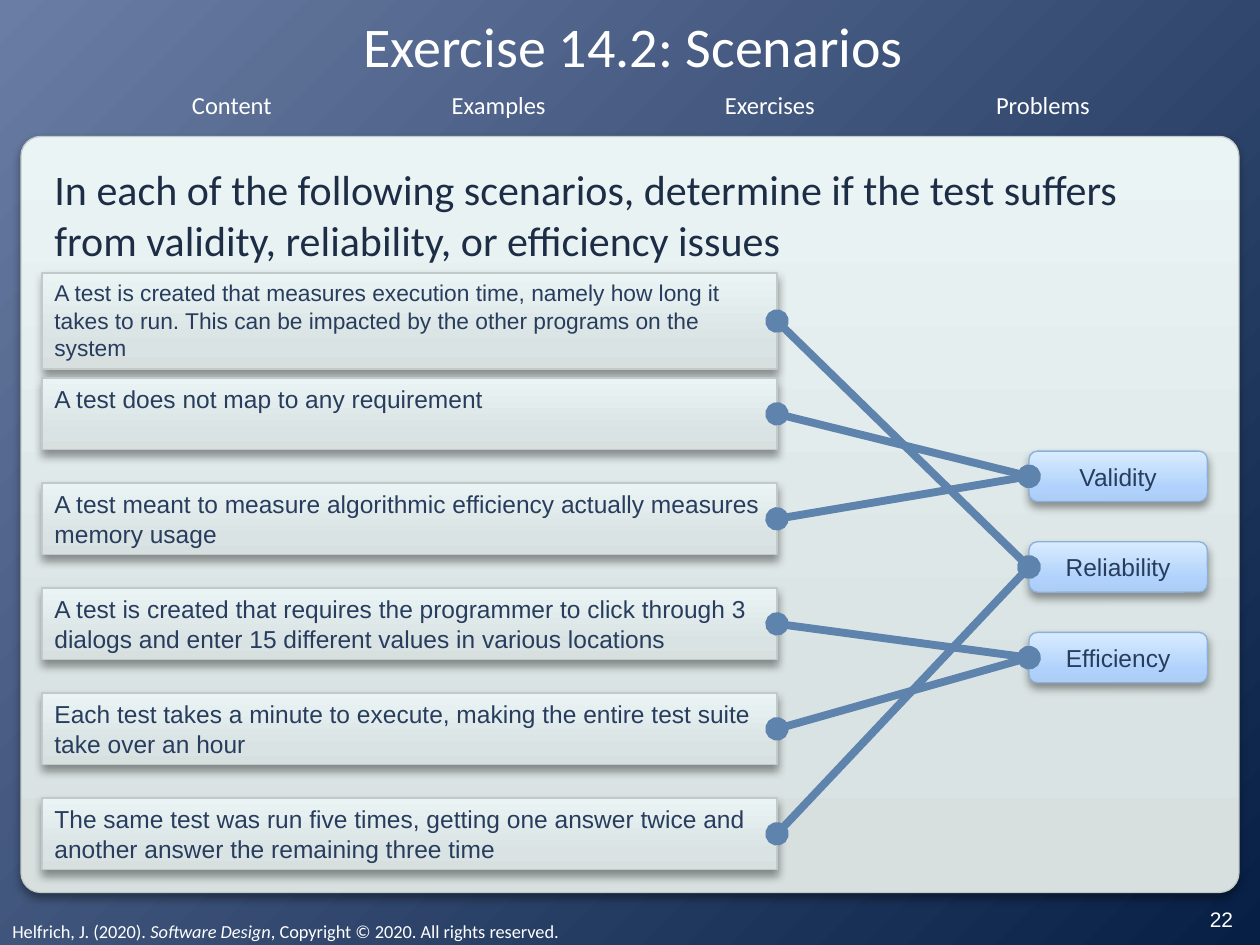
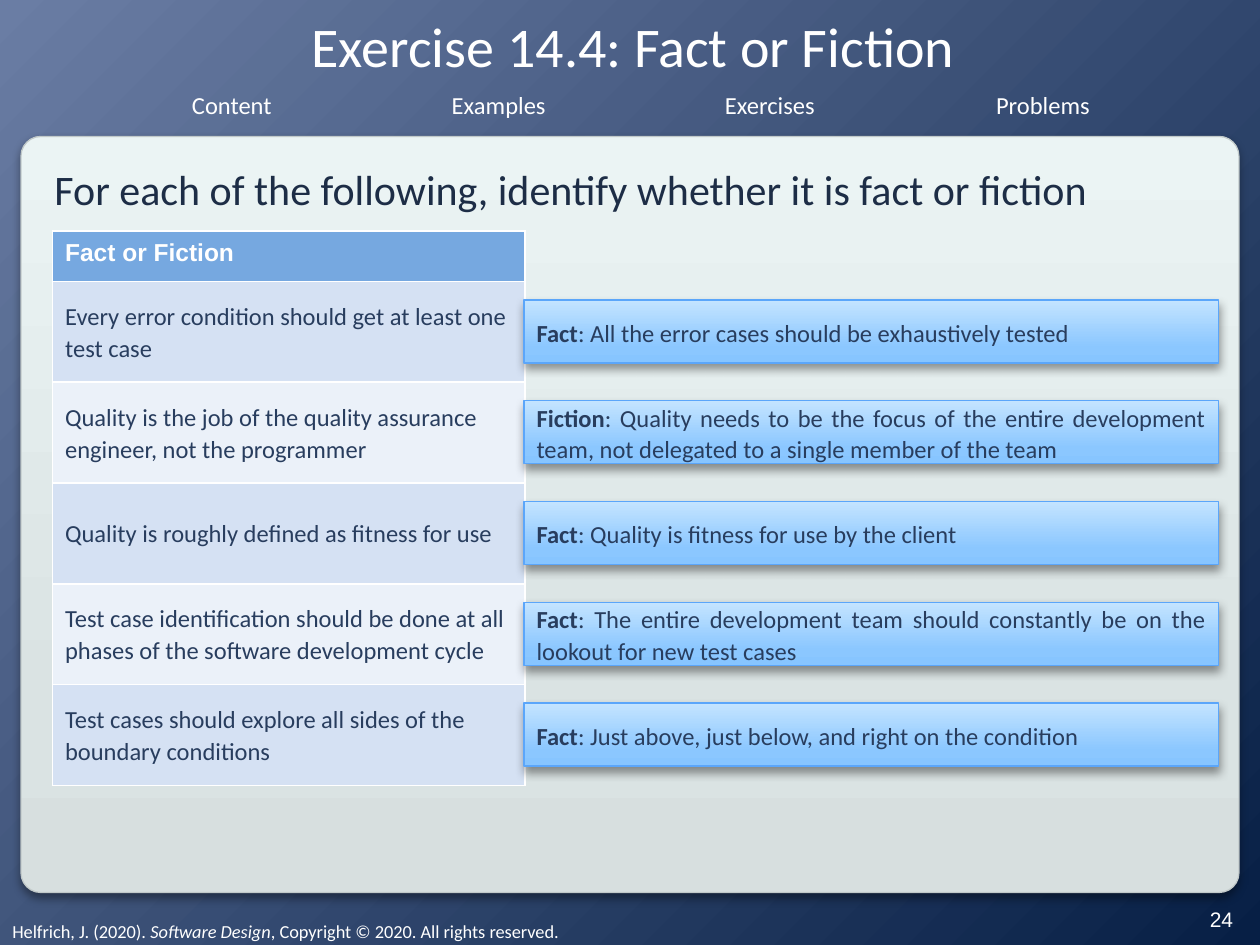
import copy
import pptx
import pptx.dml.color
import pptx.enum.shapes
import pptx.enum.text
import pptx.oxml
import pptx.oxml.ns
import pptx.util

Pt = pptx.util.Pt
Form = pptx.enum.shapes.MSO_SHAPE
Side = pptx.enum.text.PP_ALIGN
Hold = pptx.enum.text.MSO_ANCHOR
qn = pptx.oxml.ns.qn
space = pptx.oxml.ns.nsdecls("a")

WHITE, INK, DARK = "FFFFFF", "283D5E", "1D2D46"
GREY = ("D7DFDF", "DAE3E3", "EBF4F4"), "C1C9C9"
PALE = ("ADCDF5", "AFD1FB", "D8ECFF"), "8CB0D7"
BLUE = ("87C5FF", "8BC7FF", "C4E4FF"), "5BA6FA"


def hue(code):
    return pptx.dml.color.RGBColor.from_string(code)


def say(host, runs, size, code=INK, face="Calibri", side=Side.LEFT,
        hold=Hold.TOP, space=None):
    frame = host.text_frame
    frame.word_wrap = True
    frame.vertical_anchor = hold
    para = frame.paragraphs[0]
    para.alignment = side
    para.line_spacing = space
    for text, style in runs:
        run = para.add_run()
        run.text = text
        run.font.size = Pt(size)
        run.font.name = face
        run.font.bold = style == "bold"
        run.font.italic = style == "slant"
        run.font.color.rgb = hue(code)


deck = pptx.Presentation()
deck.slide_width, deck.slide_height = Pt(720), Pt(540)
plan = deck.slide_layouts[5]
cards = []

back = deck.slide_master.background.fill
back.gradient()
back.gradient_angle = 315
for stop, code in zip(back.gradient_stops, ("6A7DA4", "071F45")):
    stop.color.rgb = hue(code)

heads = [
    ("Exercise 14.2: Scenarios", "22", 66,
     "In each of the following scenarios, determine if the test suffers "
     "from validity, reliability, or efficiency issues"),
    ("Exercise 14.4: Fact or Fiction", "24", 36,
     "For each of the following, identify whether it is fact or fiction"),
]
slides = []
for name, page, height, task in heads:
    slide = deck.slides.add_slide(plan)
    slides.append(slide)
    title = slide.shapes.title
    title.left, title.top, title.width, title.height = Pt(16), Pt(8), Pt(692), Pt(36)
    frame = title.text_frame
    frame.margin_left = frame.margin_right = frame.margin_top = frame.margin_bottom = 0
    say(title, [(name, "")], 32, WHITE, side=Side.CENTER, hold=Hold.MIDDLE)
    body = slide.shapes.add_textbox(Pt(24), Pt(90), Pt(672), Pt(height))
    say(body, [(task, "")], 24, DARK)
    mark = slide.shapes.add_textbox(Pt(674), Pt(510), Pt(48), Pt(30))
    say(mark, [(page, "")], 12, WHITE, "Arial", Side.CENTER, Hold.MIDDLE)

first, second = slides

panel = first.shapes.add_shape(Form.ROUNDED_RECTANGLE, Pt(12), Pt(78), Pt(696), Pt(432))
panel.adjustments[0] = 0.026
cards.append((panel, GREY))
foot = first.shapes.add_textbox(0, Pt(522), Pt(648), Pt(21))
say(foot, [("Helfrich, J. (2020). ", ""), ("Software Design", "slant"),
           (", Copyright © 2020. All rights reserved.", "")], 10.5, WHITE)
shared = [panel, foot]
for text, mid in (("Content", 132.5), ("Examples", 285),
                  ("Exercises", 440), ("Problems", 596)):
    tab = first.shapes.add_textbox(Pt(mid - 40), Pt(48), Pt(80), Pt(24.5))
    say(tab, [(text, "")], 14, WHITE, side=Side.CENTER)
    shared.append(tab)
for shape in shared:
    plan.shapes.element.append(shape.element)

goals = {}
for row, text in enumerate(("Validity", "Reliability", "Efficiency")):
    top = 257.8 + 51.8 * row
    goal = first.shapes.add_shape(Form.ROUNDED_RECTANGLE, Pt(588), Pt(top), Pt(102), Pt(28.8))
    say(goal, [(text, "")], 14, face="Arial", side=Side.CENTER, hold=Hold.MIDDLE)
    cards.append((goal, PALE))
    goals[text] = top + 14.4

cases = [
    ("A test is created that measures execution time, namely how long it takes to run. "
     "This can be impacted by the other programs on the system", "Reliability", 13, 55),
    ("A test does not map to any requirement", "Validity", 14, 41),
    ("A test meant to measure algorithmic efficiency actually measures memory usage",
     "Validity", 14, 41),
    ("A test is created that requires the programmer to click through 3 dialogs "
     "and enter 15 different values in various locations", "Efficiency", 14, 41),
    ("Each test takes a minute to execute, making the entire test suite "
     "take over an hour", "Efficiency", 14, 41),
    ("The same test was run five times, getting one answer twice and another "
     "answer the remaining three time", "Reliability", 14, 41),
]
for row, (text, goal, size, height) in enumerate(cases):
    top = 156 + 60 * row
    case = first.shapes.add_shape(Form.RECTANGLE, Pt(24), Pt(top), Pt(420), Pt(height))
    say(case, [(text, "")], size, face="Arial")
    cards.append((case, GREY))
    link = first.shapes.add_connector(
        pptx.enum.shapes.MSO_CONNECTOR.STRAIGHT,
        Pt(444), Pt(top + height / 2), Pt(588), Pt(goals[goal]))
    link.line.width = Pt(4.5)
    link.line.color.rgb = hue("5E83AC")
    for end in ("headEnd", "tailEnd"):
        link.line._get_or_add_ln().append(
            pptx.oxml.parse_xml(f'<a:{end} {space} type="oval"/>'))
    link.element.spPr.append(pptx.oxml.parse_xml(f"<a:effectLst {space}/>"))

claims = [
    ("Every error condition should get at least one test case",
     "Fact", "All the error cases should be exhaustively tested"),
    ("Quality is the job of the quality assurance engineer, not the programmer",
     "Fiction", "Quality needs to be the focus of the entire development team, "
     "not delegated to a single member of the team"),
    ("Quality is roughly defined as fitness for use",
     "Fact", "Quality is fitness for use by the client"),
    ("Test case identification should be done at all phases of the software "
     "development cycle", "Fact", "The entire development team should constantly "
     "be on the lookout for new test cases"),
    ("Test cases should explore all sides of the boundary conditions",
     "Fact", "Just above, just below, and right on the condition"),
]
table = second.shapes.add_table(
    len(claims) + 1, 1, Pt(30), Pt(132), Pt(270), Pt(316.8)).table
table.rows[0].height = Pt(28.8)
cell = table.cell(0, 0)
cell.fill.solid()
cell.fill.fore_color.rgb = hue("76A8E0")
say(cell, [("Fact or Fiction", "bold")], 14, WHITE, "Arial", space=1.07)
for row, (claim, kind, why) in enumerate(claims):
    table.rows[row + 1].height = Pt(57.6)
    cell = table.cell(row + 1, 0)
    cell.fill.solid()
    cell.fill.fore_color.rgb = hue(("D5E1F3", "EBF1F9")[row % 2])
    say(cell, [(claim, "")], 14, space=1.07)
    cell.vertical_anchor = Hold.MIDDLE
    note = second.shapes.add_shape(
        Form.RECTANGLE, Pt(299.5), Pt(171.4 + 57.6 * row), Pt(396.7), Pt(36))
    note.text_frame.margin_top = note.text_frame.margin_bottom = 0
    say(note, [(kind, "bold"), (": " + why, "")], 14,
        side=Side.JUSTIFY, hold=Hold.MIDDLE, space=1.07)
    cards.append((note, BLUE))

for card, (tones, edge) in cards:
    card.fill.gradient()
    card.fill.gradient_angle = 90
    stops = card.element.spPr.find(".//" + qn("a:gsLst"))
    stops.insert(1, copy.deepcopy(stops[0]))
    for stop, spot, tone in zip(card.fill.gradient_stops, (0, 0.25, 1), tones):
        stop.position = spot
        stop.color.rgb = hue(tone)
    card.line.color.rgb = hue(edge)
    card.line.width = Pt(0.75)
    card.shadow.inherit = False
    card.element.spPr.find(qn("a:effectLst")).append(pptx.oxml.parse_xml(
        f'<a:outerShdw {space} blurRad="{Pt(5.2)}" dist="{Pt(3)}" dir="5400000" '
        'rotWithShape="0"><a:srgbClr val="000000"><a:alpha val="40000"/>'
        "</a:srgbClr></a:outerShdw>"))

deck.save("out.pptx")
